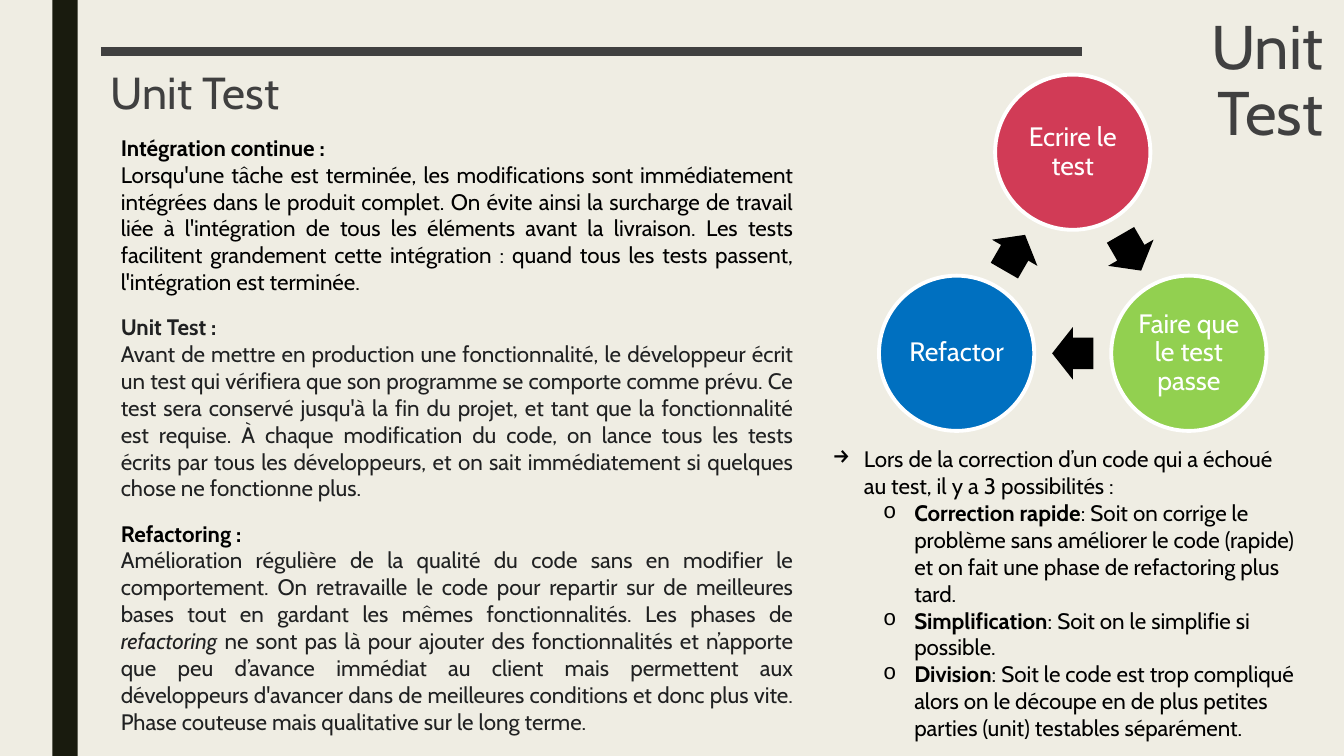
from math import cos, sin, radians
from lxml.etree import SubElement
from pptx import Presentation
from pptx.dml.color import RGBColor
from pptx.enum.shapes import MSO_CONNECTOR as Line, MSO_SHAPE as Kind
from pptx.enum.text import MSO_ANCHOR as Anchor, PP_ALIGN as Align
from pptx.oxml.ns import qn
from pptx.util import Inches, Pt

INK, BLACK, GREY, WHITE = "404040", "000000", "202122", "FFFFFF"


def color(code):
    return RGBColor.from_string(code)


class Deck:
    """Holds the style and the current slide."""
    font = "Cabin"

    def __init__(self, slide):
        self.slide = slide

    def back(self, fill):
        paint = self.slide.background.fill
        paint.solid()
        paint.fore_color.rgb = color(fill)

    def shape(self, kind, x, y, w, h, fill, edge=None):
        item = self.slide.shapes.add_shape(
            kind, Inches(x), Inches(y), Inches(w), Inches(h))
        item.shadow.inherit = False
        item.fill.solid()
        item.fill.fore_color.rgb = color(fill)
        if edge:
            item.line.color.rgb = color(edge)
            item.line.width = Pt(2.75)
        else:
            item.line.fill.background()
        return item

    def box(self, x, y, w, h):
        item = self.slide.shapes.add_textbox(
            Inches(x), Inches(y), Inches(w), Inches(h))
        item.text_frame.word_wrap = True
        return item

    def rule(self, x, y, target, site, ink, width):
        item = self.slide.shapes.add_connector(
            Line.STRAIGHT, Inches(x), Inches(y), target.left, Inches(y))
        item.end_connect(target, site)
        item.line.color.rgb = color(ink)
        item.line.width = Pt(width)
        SubElement(item._element.spPr, qn("a:effectLst"))

    def para(self, frame, align=Align.LEFT, space=None, before=0):
        first = frame.paragraphs[0]
        para = frame.add_paragraph() if first.runs else first
        para.alignment = align
        para.space_before = Pt(before)
        if space:
            para.line_spacing = space
        return para

    def run(self, para, text, size=16, ink=BLACK, bold=False, italic=False):
        font_run = para.add_run()
        font_run.text = text
        font = font_run.font
        font.name, font.size = self.font, Pt(size)
        font.bold, font.italic = bold, italic
        font.color.rgb = color(ink)

    def bullet(self, para, mark, left, face=None):
        props = para._p.get_or_add_pPr()
        props.set("marL", str(Inches(left)))
        props.set("indent", str(Inches(-0.31)))
        if face:
            SubElement(props, qn("a:buFont")).set("typeface", face)
        SubElement(props, qn("a:buChar")).set("char", mark)


def cycle(deck):
    # Three steps on a circle, with an arrow halfway between each pair
    mid_x, mid_y, reach, size = 10.64, 2.84, 1.33, 1.54
    wide, high = 0.41, 0.52
    steps = [("Ecrire le test", "D13B56"),
             ("Faire que le test passe", "92D050"),
             ("Refactor", "0070C0")]
    for i, (label, fill) in enumerate(steps):
        turn = radians(120 * i - 90)
        x, y = mid_x + reach * cos(turn), mid_y + reach * sin(turn)
        disc = deck.shape(Kind.OVAL, x - size / 2, y - size / 2,
                          size, size, fill, WHITE)
        frame = disc.text_frame
        frame.word_wrap = True
        frame.vertical_anchor = Anchor.MIDDLE
        frame.margin_left = frame.margin_right = Inches(0.03)
        frame.margin_top = frame.margin_bottom = Inches(0.03)
        deck.run(deck.para(frame, Align.CENTER, 0.9), label, 19, WHITE)

        turn = radians(120 * i - 30)
        x, y = mid_x + reach / 2 * cos(turn), mid_y + reach / 2 * sin(turn)
        arrow = deck.shape(Kind.RIGHT_ARROW, x - wide / 2, y - high / 2,
                           wide, high, BLACK)
        arrow.adjustments[0], arrow.adjustments[1] = 0.6, 0.5
        arrow.rotation = 60 + 120 * i


def topics(deck):
    # Left column: heading, its colour, then body runs (text, italic)
    parts = [
        ("Intégration continue :", BLACK, BLACK, [
            ("Lorsqu'une tâche est terminée, les modifications sont immédiatement intégrées dans le produit complet. "
             "On évite ainsi la surcharge de travail liée à l'intégration de tous les éléments avant la livraison. "
             "Les tests facilitent grandement cette intégration : quand tous les tests passent, "
             "l'intégration est terminée.", False)]),
        ("Unit Test :", GREY, GREY, [
            ("Avant de mettre en production une fonctionnalité, le développeur écrit un test qui vérifiera que "
             "son programme se comporte comme prévu. Ce test sera conservé jusqu'à la fin du projet, et tant que "
             "la fonctionnalité est requise. À chaque modification du code, on lance tous les tests écrits par "
             "tous les développeurs, et on sait immédiatement si quelques chose ne fonctionne plus.", False)]),
        ("Refactoring :", BLACK, GREY, [
            ("Amélioration régulière de la qualité du code sans en modifier le comportement. On retravaille le "
             "code pour repartir sur de meilleures bases tout en gardant les mêmes fonctionnalités. "
             "Les phases de ", False),
            ("refactoring", True),
            (" ne sont pas là pour ajouter des fonctionnalités et n’apporte que peu d’avance immédiat au client "
             "mais permettent aux développeurs d'avancer dans de meilleures conditions et donc plus vite. "
             "Phase couteuse mais qualitative sur le long terme.", False)]),
    ]
    frame = deck.box(1.1, 1.28, 6.87, 6.29).text_frame
    for i, (head, head_ink, ink, runs) in enumerate(parts):
        para = deck.para(frame, Align.JUSTIFY, before=13 if i else 0)
        deck.run(para, head, ink=head_ink, bold=True)
        para = deck.para(frame, Align.JUSTIFY)
        for text, italic in runs:
            deck.run(para, text, ink=ink, italic=italic)


def options(deck):
    # Right column: lead line and three choices
    choices = [
        ("Correction rapide", ": Soit on corrige le problème sans améliorer le code (rapide) "
                              "et on fait une phase de refactoring plus tard."),
        ("Simplification", ": Soit on le simplifie si possible."),
        ("Division", ": Soit le code est trop compliqué alors on le découpe en de plus petites "
                     "parties (unit) testables séparément."),
    ]
    frame = deck.box(8.16, 4.37, 4.83, 3.6).text_frame
    para = deck.para(frame)
    deck.bullet(para, "→", 0.31)
    deck.run(para, "Lors de la correction d’un code qui a échoué au test, il y a 3 possibilités :")
    for name, text in choices:
        para = deck.para(frame)
        para.level = 1
        deck.bullet(para, "o", 0.81, "Courier New")
        deck.run(para, name, bold=True)
        deck.run(para, text)


def main():
    show = Presentation()
    show.slide_width, show.slide_height = Inches(13.33), Inches(7.5)
    deck = Deck(show.slides.add_slide(show.slide_layouts[6]))

    # Background and side band
    deck.back("EFEDE3")
    deck.shape(Kind.RECTANGLE, 0.52, 0, 0.25, 7.5, "191B0E")

    # Title, rule and subtitle
    title = deck.box(10.73, 0.12, 2.49, 0.78)
    deck.run(deck.para(title.text_frame, Align.RIGHT, 0.89), "Unit Test", 44, INK)
    deck.rule(1, 0.51, title, 1, INK, 6)
    head = deck.box(1, 0.7, 7.89, 0.57)
    deck.run(deck.para(head.text_frame, space=0.79), "Unit Test", 32, INK)

    cycle(deck)
    topics(deck)
    options(deck)
    show.save("out.pptx")


if __name__ == "__main__":
    main()
